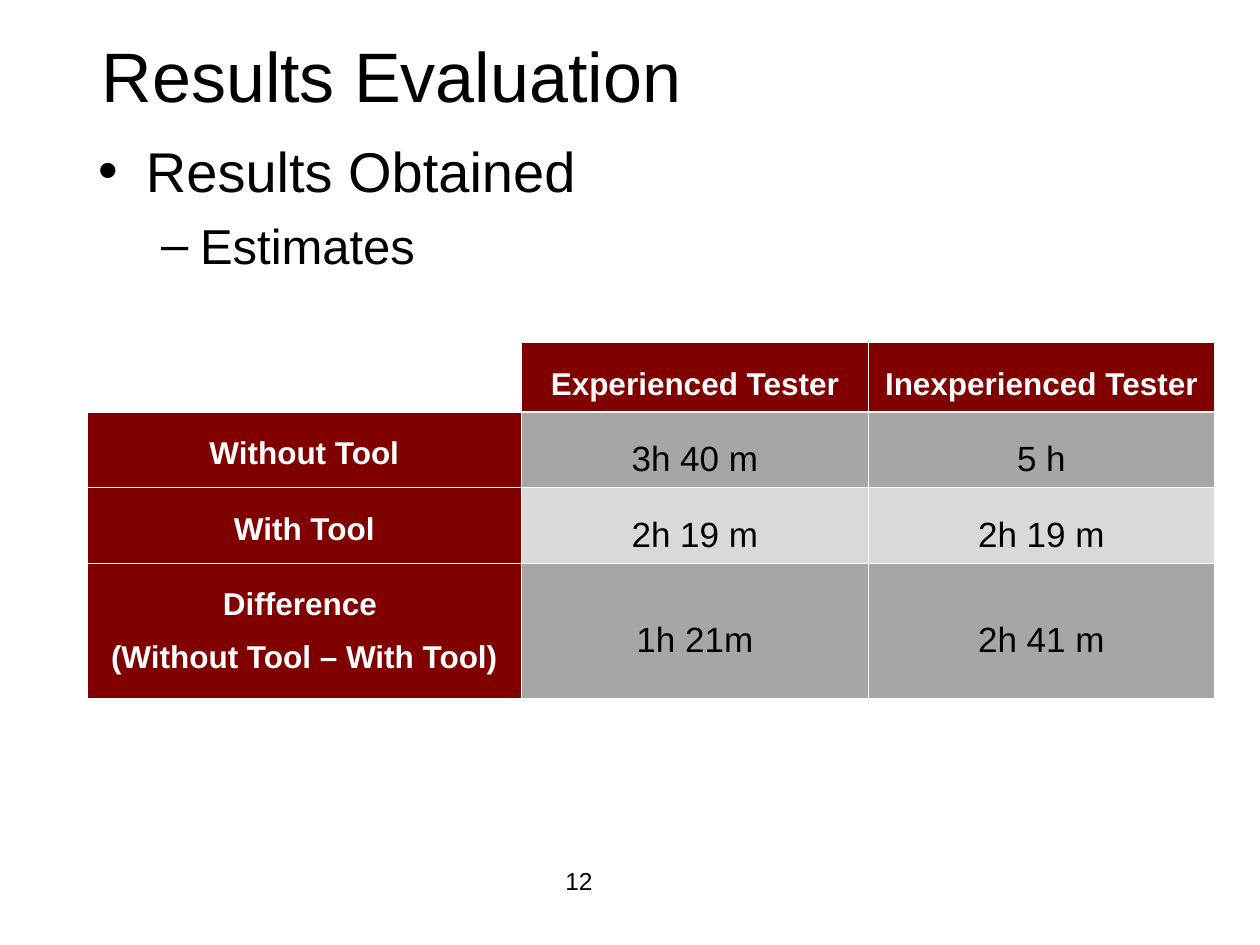
import dataclasses

import lxml.etree
import pptx
import pptx.dml.color
import pptx.enum.text
import pptx.oxml.ns
import pptx.util

Inches = pptx.util.Inches
Pt = pptx.util.Pt
qn = pptx.oxml.ns.qn
Align = pptx.enum.text.PP_ALIGN
Anchor = pptx.enum.text.MSO_ANCHOR


@dataclasses.dataclass(frozen=True)
class Theme:
    font: str = "Arial"
    black: str = "000000"
    white: str = "FFFFFF"
    maroon: str = "800000"
    dark_gray: str = "A6A6A6"
    light_gray: str = "D9D9D9"
    title: int = 40
    bullet: int = 32
    sub_bullet: int = 28
    value: int = 20
    heading: int = 18
    number: int = 14
    thin: float = 0.45
    thick: float = 1.47


theme = Theme()


def add_run(paragraph, text, size, color=theme.black, bold=False):
    run = paragraph.add_run()
    run.text = text
    run.font.name = theme.font
    run.font.size = Pt(size)
    run.font.bold = bold
    run.font.color.rgb = pptx.dml.color.RGBColor.from_string(color)


def set_borders(cell, widths):
    properties = cell._tc.get_or_add_tcPr()
    for position, (side, width) in enumerate(widths.items()):
        line = lxml.etree.Element(qn(f"a:ln{side}"), w=str(Pt(width)))
        fill = lxml.etree.SubElement(line, qn("a:solidFill"))
        lxml.etree.SubElement(fill, qn("a:srgbClr"), val=theme.white)
        properties.insert(position, line)


presentation = pptx.Presentation()
presentation.slide_width = Inches(10)
presentation.slide_height = Inches(7.5)
slide = presentation.slides.add_slide(presentation.slide_layouts[6])

# Slide number
number_box = slide.shapes.add_textbox(Inches(3.43), Inches(6.82), Inches(2.33), Inches(0.52))
number_box.text_frame.word_wrap = True
paragraph = number_box.text_frame.paragraphs[0]
paragraph.alignment = Align.CENTER
add_run(paragraph, "12", theme.number)

# Title
title_box = slide.shapes.add_textbox(Inches(0.71), Inches(0.21), Inches(4.85), Inches(0.77))
title_box.text_frame.word_wrap = True
add_run(title_box.text_frame.paragraphs[0], "Results Evaluation", theme.title)

# Estimates table
rows = [
    ["", "Experienced Tester", "Inexperienced Tester"],
    ["Without Tool", "3h 40 m", "5 h"],
    ["With Tool", "2h 19 m", "2h 19 m"],
    ["Difference \n(Without Tool – With Tool)", "1h 21m", "2h 41 m"],
]
table = slide.shapes.add_table(4, 3, Inches(0.69), Inches(2.72), Inches(8.95), Inches(2.57)).table
for column, width in zip(table.columns, [3.45, 2.75, 2.75]):
    column.width = Inches(width)
for row, height in zip(table.rows, [0.5, 0.5, 0.5, 1.07]):
    row.height = Inches(height)

for row_index, row in enumerate(rows):
    for column_index, text in enumerate(row):
        cell = table.cell(row_index, column_index)
        is_heading = row_index == 0 or column_index == 0
        if not text:
            color = theme.white
        elif is_heading:
            color = theme.maroon
        else:
            color = theme.dark_gray if row_index % 2 else theme.light_gray
        cell.fill.solid()
        cell.fill.fore_color.rgb = pptx.dml.color.RGBColor.from_string(color)
        cell.margin_left = cell.margin_right = Inches(0.07)
        cell.vertical_anchor = Anchor.TOP if is_heading else Anchor.MIDDLE
        set_borders(cell, {
            "L": theme.thin,
            "R": theme.thin,
            "T": theme.thick if row_index == 1 else theme.thin,
            "B": theme.thick if row_index == 0 else theme.thin,
        })
        if not text:
            continue
        for line_index, line in enumerate(text.split("\n")):
            frame = cell.text_frame
            paragraph = frame.add_paragraph() if line_index else frame.paragraphs[0]
            paragraph.alignment = Align.CENTER
            paragraph.line_spacing = 1.5
            if is_heading:
                add_run(paragraph, line, theme.heading, theme.white, bold=True)
            else:
                add_run(paragraph, line, theme.value)

# Bulleted text
body_box = slide.shapes.add_textbox(Inches(0.68), Inches(1.03), Inches(4.02), Inches(1.2))
frame = body_box.text_frame
frame.word_wrap = True
frame.vertical_anchor = Anchor.MIDDLE
bullets = [
    ("Results Obtained", "•", theme.bullet, 0.38, 0.38, 8),
    ("Estimates", "–", theme.sub_bullet, 0.81, 0.31, 7),
]
for level, (text, mark, size, margin, hanging, space) in enumerate(bullets):
    paragraph = frame.add_paragraph() if level else frame.paragraphs[0]
    paragraph.level = level
    paragraph.space_before = Pt(space)
    properties = paragraph._p.get_or_add_pPr()
    properties.set("marL", str(Inches(margin)))
    properties.set("indent", str(-Inches(hanging)))
    bullet_color = lxml.etree.SubElement(properties, qn("a:buClr"))
    lxml.etree.SubElement(bullet_color, qn("a:srgbClr"), val=theme.black)
    lxml.etree.SubElement(properties, qn("a:buFont"), typeface=theme.font)
    lxml.etree.SubElement(properties, qn("a:buChar"), char=mark)
    add_run(paragraph, text, size)

presentation.save("out.pptx")
